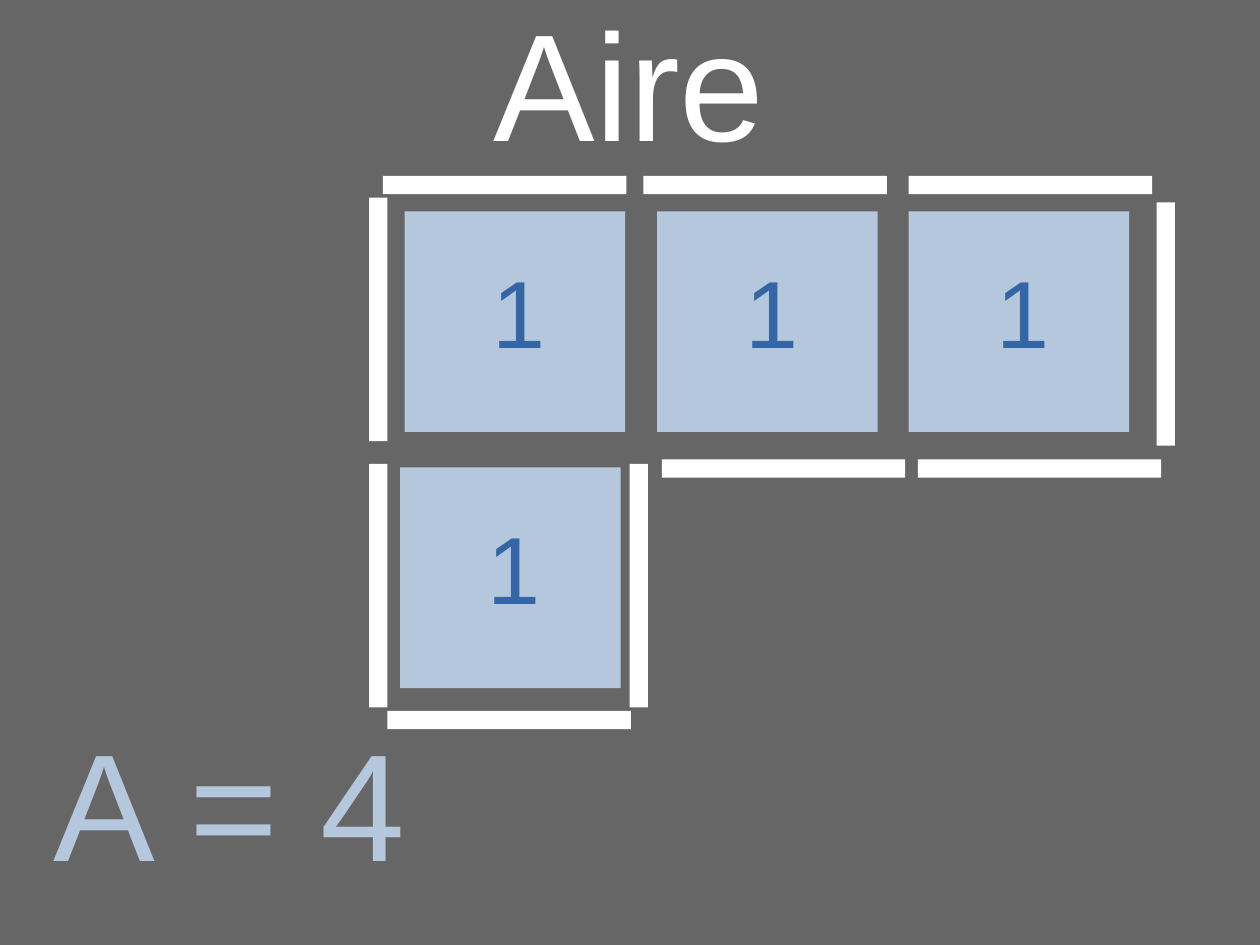
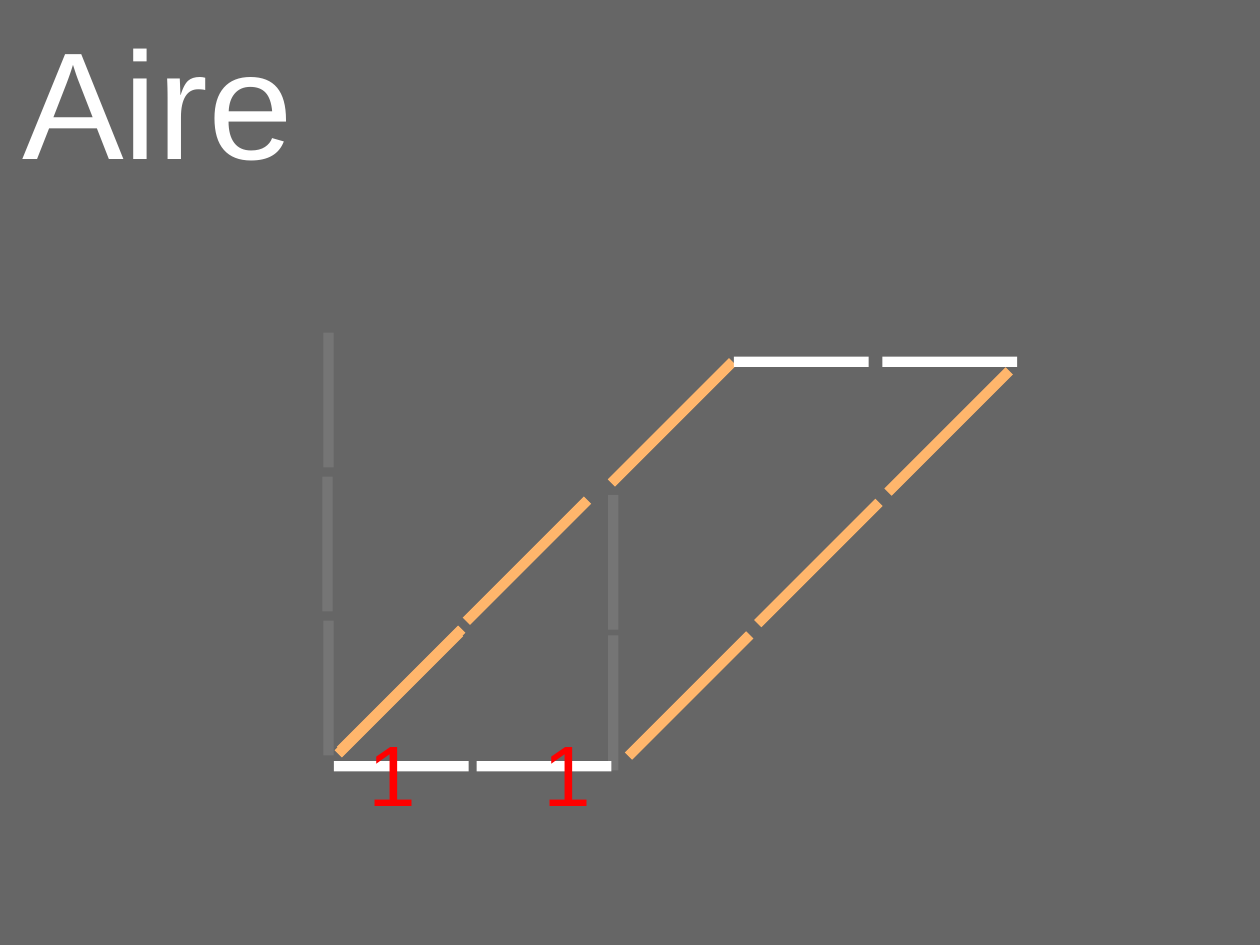
from lxml.etree import SubElement
from pptx import Presentation
from pptx.dml.color import RGBColor
from pptx.enum.shapes import MSO_SHAPE
from pptx.enum.text import MSO_ANCHOR, PP_ALIGN
from pptx.oxml.ns import qn
from pptx.util import Inches, Pt

COLORS = {
    "background": "666666",
    "white": "FFFFFF",
    "square": "B4C7DC",
    "digit": "3465A4",
    "diagonal": "FFB66C",
    "side": "FF0000",
}
FONT = "Arial"
TITLE_SIZE = 96
TITLE_HEIGHT = 1.73
CM_PER_INCH = 2.54


def add_bar(slide, left, top, width, height, color, rotation=0, opacity=100):
    """Add a plain rectangle; opacity is a percentage."""
    shape = slide.shapes.add_shape(
        MSO_SHAPE.RECTANGLE, Inches(left), Inches(top), Inches(width), Inches(height)
    )
    shape.shadow.inherit = False
    shape.line.fill.background()
    shape.fill.solid()
    shape.fill.fore_color.rgb = RGBColor.from_string(COLORS[color])
    shape.rotation = rotation
    if opacity < 100:
        color_element = shape.element.spPr.find(qn("a:solidFill"))[0]
        SubElement(color_element, qn("a:alpha")).set("val", str(opacity * 1000))
    return shape


def write_text(shape, text, size, color, align, anchor, margins=(0, 0, 0, 0)):
    """Fill a shape with one line of text; margins are left, top, right, bottom."""
    frame = shape.text_frame
    frame.word_wrap = True
    frame.vertical_anchor = anchor
    frame.margin_left, frame.margin_top, frame.margin_right, frame.margin_bottom = (
        Inches(margin) for margin in margins
    )
    paragraph = frame.paragraphs[0]
    paragraph.text = text
    paragraph.alignment = align
    paragraph.font.name = FONT
    paragraph.font.size = Pt(size)
    paragraph.font.color.rgb = RGBColor.from_string(COLORS[color])


presentation = Presentation()
presentation.slide_width = Inches(28 / CM_PER_INCH)
presentation.slide_height = Inches(21 / CM_PER_INCH)
background = presentation.slide_master.background.fill
background.solid()
background.fore_color.rgb = RGBColor.from_string(COLORS["background"])
blank_layout = presentation.slide_layouts[6]
squares_slide = presentation.slides.add_slide(blank_layout)
parallelogram_slide = presentation.slides.add_slide(blank_layout)

# Large headings on both slides
for slide, text, left, top, width, color, align in [
    (squares_slide, "Aire", 2.35, -0.16, 6.31, "white", PP_ALIGN.CENTER),
    (squares_slide, "A = 4", 0.47, 6.14, 6.31, "square", PP_ALIGN.LEFT),
    (parallelogram_slide, "Aire", 0.16, 0, 2.44, "white", PP_ALIGN.CENTER),
]:
    heading = slide.shapes.add_textbox(
        Inches(left), Inches(top), Inches(width), Inches(TITLE_HEIGHT)
    )
    write_text(heading, text, TITLE_SIZE, color, align, MSO_ANCHOR.MIDDLE)

# Slide 1: four unit squares surrounded by sticks
STICK, THICKNESS = 2.13, 0.16
for left, top in [
    (3.35, 1.54), (5.63, 1.54), (7.95, 1.54),
    (5.79, 4.02), (8.03, 4.02), (3.39, 6.22),
]:
    add_bar(squares_slide, left, top, STICK, THICKNESS, "white")
for left, top in [(3.23, 1.73), (3.23, 4.06), (5.51, 4.06), (10.12, 1.77)]:
    add_bar(squares_slide, left, top, THICKNESS, STICK, "white")

SQUARE = 1.93
for left, top in [(3.54, 1.85), (5.75, 1.85), (7.95, 1.85), (3.5, 4.09)]:
    square = add_bar(squares_slide, left, top, SQUARE, SQUARE, "square")
    write_text(square, "1", 60, "digit", PP_ALIGN.CENTER, MSO_ANCHOR.MIDDLE,
               margins=(0.07, 0, 0, 0.2))

# Slide 2: parallelogram of sticks, with faint uprights
STICK, DIAGONAL, THICKNESS = 1.18, 1.5, 0.09
for left, top in [
    (2.74, 6.02), (2.76, 5.99), (3.86, 4.86), (5.13, 3.65),
    (5.28, 6.04), (6.41, 4.88), (7.55, 3.73),
]:
    add_bar(parallelogram_slide, left, top, DIAGONAL, THICKNESS, "diagonal", rotation=315)
for left, top in [(2.92, 6.66), (4.17, 6.66), (6.42, 3.12), (7.72, 3.12)]:
    add_bar(parallelogram_slide, left, top, STICK, THICKNESS, "white")
for left, top in [(2.83, 2.91), (2.82, 4.17), (2.83, 5.43), (5.32, 4.33), (5.32, 5.56)]:
    add_bar(parallelogram_slide, left, top, THICKNESS, STICK, "white", opacity=10)

for left in (3.13, 4.66):
    side_label = parallelogram_slide.shapes.add_textbox(
        Inches(left), Inches(6.26), Inches(0.94), Inches(0.94)
    )
    write_text(side_label, "1", 54, "side", PP_ALIGN.LEFT, MSO_ANCHOR.TOP,
               margins=(0.1, 0.05, 0.1, 0.05))

presentation.save("out.pptx")
